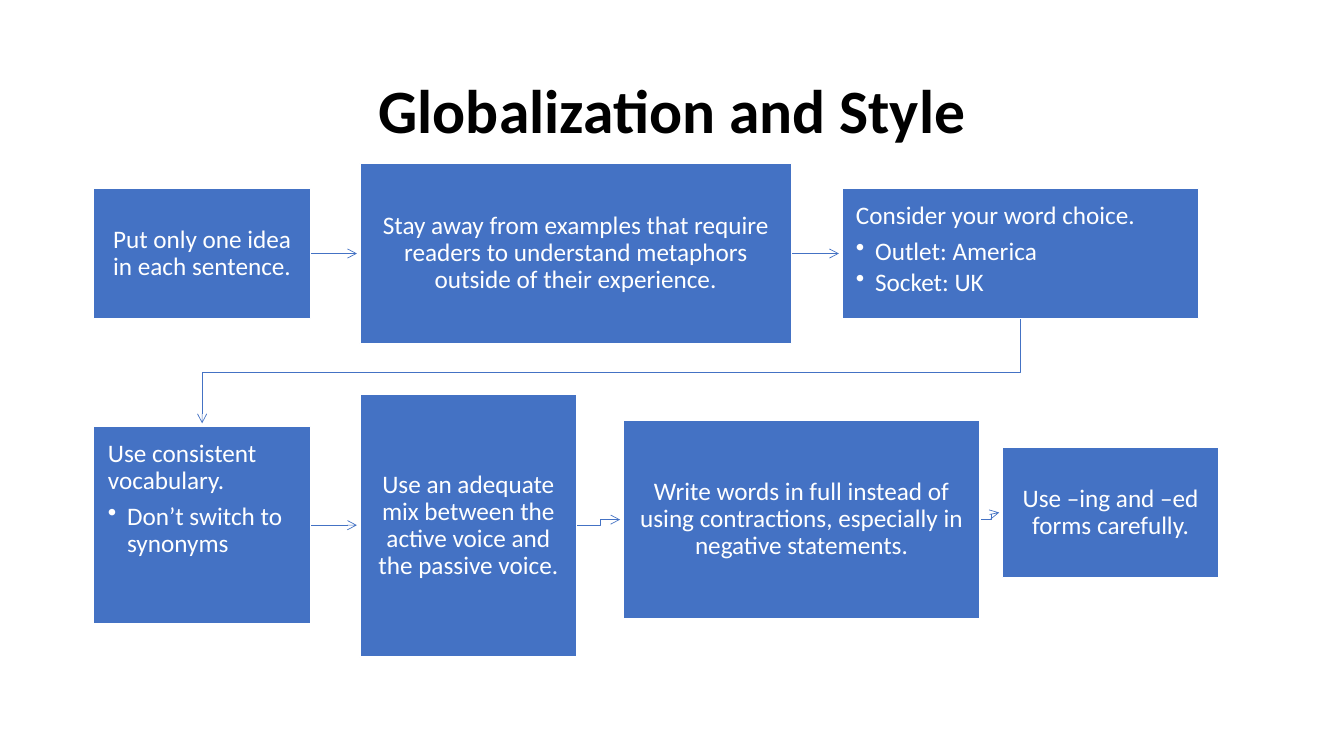
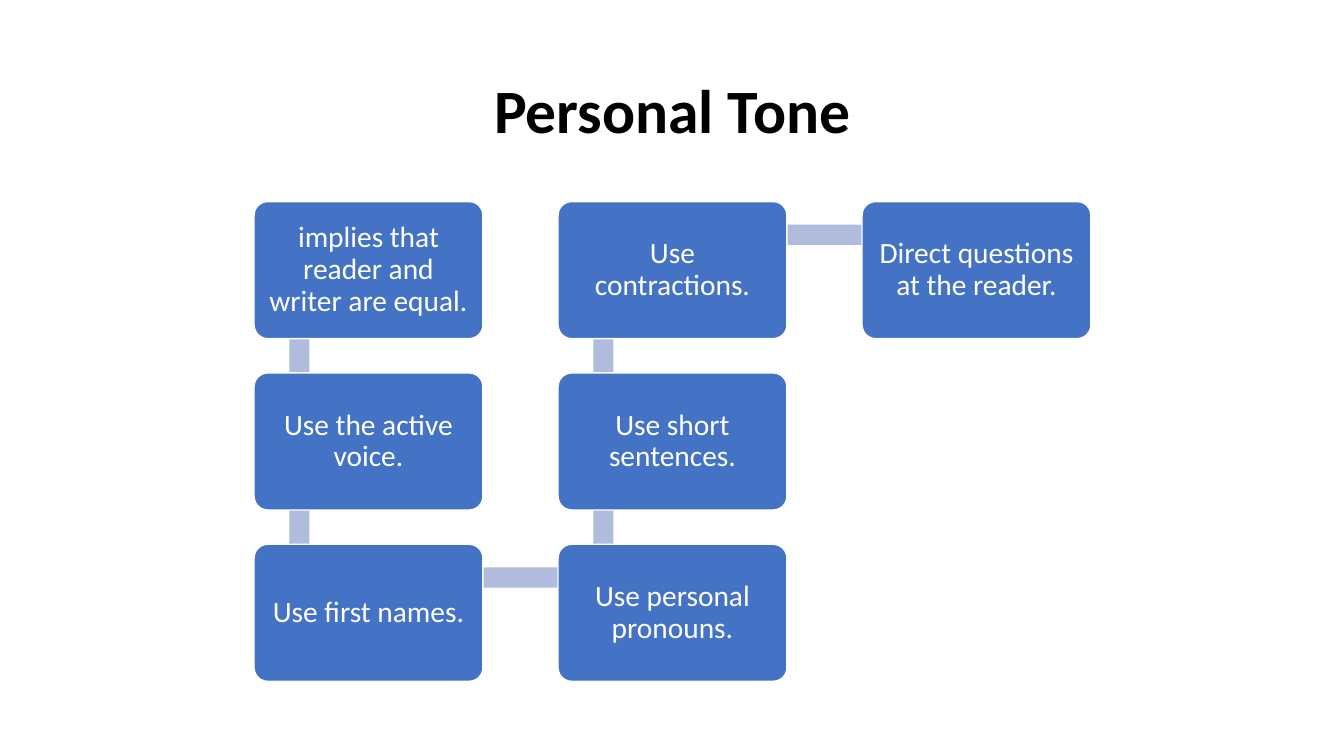
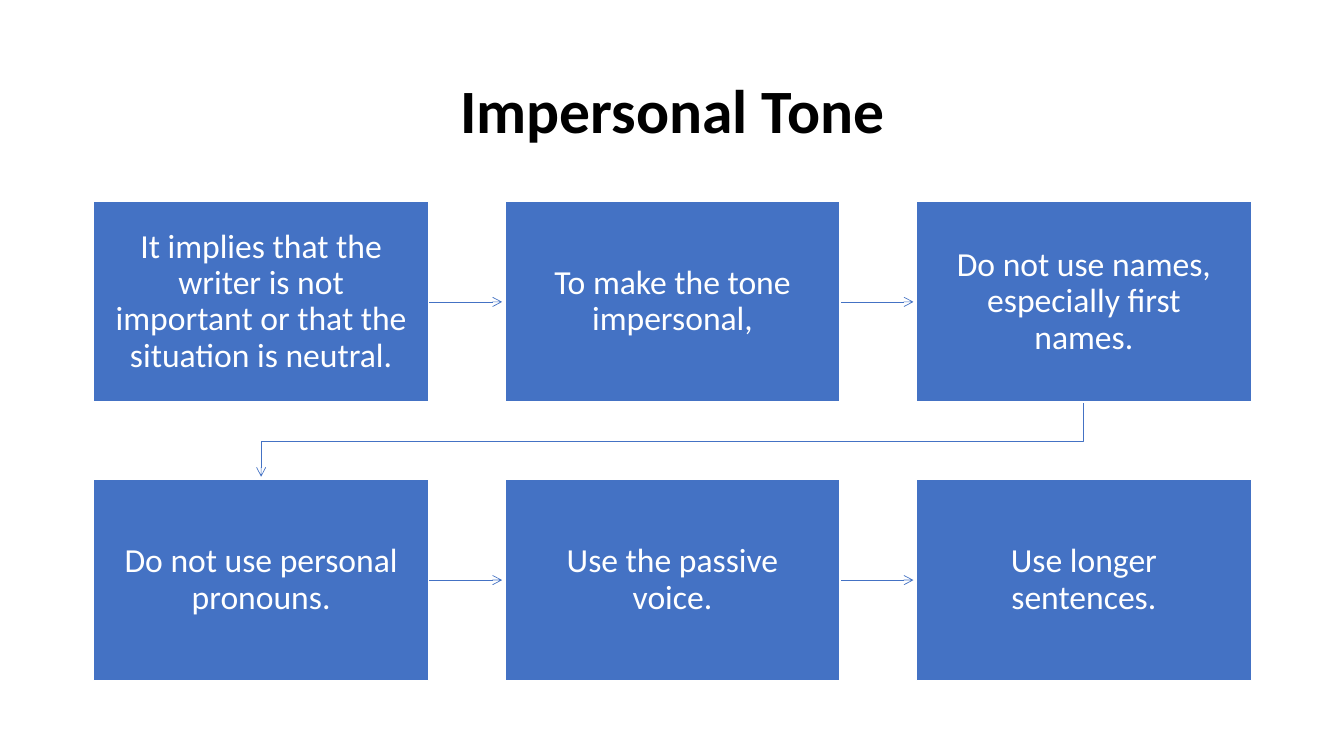
from collections import namedtuple
from itertools import pairwise

from lxml import etree
from pptx import Presentation
from pptx.dml.color import RGBColor
from pptx.enum.shapes import MSO_CONNECTOR, MSO_SHAPE
from pptx.enum.text import MSO_ANCHOR, PP_ALIGN
from pptx.oxml.ns import qn
from pptx.util import Inches, Pt

RECT, ROUNDED = MSO_SHAPE.RECTANGLE, MSO_SHAPE.ROUNDED_RECTANGLE
STRAIGHT = MSO_CONNECTOR.STRAIGHT
TOP, MIDDLE = MSO_ANCHOR.TOP, MSO_ANCHOR.MIDDLE
LEFT, CENTER = PP_ALIGN.LEFT, PP_ALIGN.CENTER

FONT = "Calibri"
BLUE, PALE, WHITE, BLACK = "4472C4", "B0BCDE", "FFFFFF", "000000"
ARROW_GAP = 0.03

Box = namedtuple("Box", "x y w h")


def rgb(value):
    return RGBColor.from_string(value)


def lengths(*values):
    return [Inches(v) for v in values]


def style_paragraph(p, size, color, align, bold=False, after=0):
    p.alignment = align
    p.line_spacing = 0.9
    p.space_after = Pt(after)
    for r in p.runs:
        r.font.name = FONT
        r.font.size = Pt(size)
        r.font.bold = bold
        r.font.color.rgb = rgb(color)


def add_bullet(p):
    pPr = p._p.get_or_add_pPr()
    pPr.set("marL", str(Inches(0.19)))
    pPr.set("indent", str(-Inches(0.19)))
    etree.SubElement(pPr, qn("a:buChar")).set("char", "•")


def add_block(s, kind, box, fill):
    sp = s.shapes.add_shape(kind, *lengths(*box))
    sp.shadow.inherit = False
    sp.fill.solid()
    sp.fill.fore_color.rgb = rgb(fill)
    sp.line.fill.background()
    return sp


def add_card(s, box, lines, size, inset, kind=RECT):
    """First line is the statement; further lines are bullets below it."""
    sp = add_block(s, kind, box, BLUE)
    if kind == ROUNDED:
        sp.adjustments[0] = 0.1
    sp.line.color.rgb = rgb(WHITE)
    sp.line.width = Pt(1)
    tf = sp.text_frame
    tf.word_wrap = True
    tf.margin_left = tf.margin_right = Inches(inset)
    tf.margin_top = tf.margin_bottom = Inches(inset)
    has_bullets = len(lines) > 1
    tf.vertical_anchor = TOP if has_bullets else MIDDLE
    tf.text = "\n".join(lines)
    for i, p in enumerate(tf.paragraphs):
        style_paragraph(p, size, WHITE, LEFT if has_bullets else CENTER,
                        after=size * (0.15 if i else 0.35))
        if i:
            add_bullet(p)


def add_arrow(s, points):
    points = [lengths(*pt) for pt in points]
    if len(points) == 2:
        line = s.shapes.add_connector(STRAIGHT, *points[0], *points[1])
    else:
        builder = s.shapes.build_freeform(*points[0])
        builder.add_line_segments(points[1:], close=False)
        line = builder.convert_to_shape()
        line.fill.background()
    line.line.color.rgb = rgb(BLUE)
    line.line.width = Pt(0.5)
    spPr = line._element.spPr
    etree.SubElement(spPr.find(qn("a:ln")), qn("a:tailEnd")).set("type", "arrow")
    etree.SubElement(spPr, qn("a:effectLst"))


def link_boxes(s, a, b):
    """Arrow to the next box on the right, or down to the start of a new row."""
    if b.x > a.x:
        x0, x1 = a.x + a.w, b.x - ARROW_GAP
        y0, y1 = a.y + a.h / 2, b.y + b.h / 2
        if abs(y1 - y0) < 0.01:
            add_arrow(s, [(x0, y0), (x1, y0)])
        else:
            mid = (x0 + b.x) / 2
            add_arrow(s, [(x0, y0), (mid, y0), (mid, y1), (x1, y1)])
    else:
        x0, x1 = a.x + a.w / 2, b.x + b.w / 2
        y0, y1 = a.y + a.h, b.y - ARROW_GAP
        mid = (y0 + b.y) / 2
        add_arrow(s, [(x0, y0), (x0, mid), (x1, mid), (x1, y1)])


def add_titled_slide(prs, title):
    s = prs.slides.add_slide(prs.slide_layouts[6])
    tf = s.shapes.add_textbox(*lengths(0.92, 0.4, 11.5, 1.45)).text_frame
    tf.word_wrap = True
    tf.vertical_anchor = MIDDLE
    tf.text = title
    style_paragraph(tf.paragraphs[0], 44, BLACK, CENTER, bold=True)
    return s


def add_arrow_flow(s, boxes, texts, size, inset):
    for a, b in pairwise(boxes):
        link_boxes(s, a, b)
    for box, lines in zip(boxes, texts):
        add_card(s, box, lines, size, inset)


def add_column_snake(s, area, texts, rows=3):
    """Cards run down one column and up the next, joined by bars behind them."""
    card_w, card_h, pitch_x, pitch_y, bar = 2.27, 1.36, 3.015, 1.7, 0.2
    boxes = []
    for i in range(len(texts)):
        col, row = divmod(i, rows)
        if col % 2:
            row = rows - 1 - row
        boxes.append(Box(area.x + col * pitch_x, area.y + row * pitch_y,
                         card_w, card_h))
    for a, b in pairwise(boxes):
        if a.x == b.x:
            link = Box(a.x + 0.35, min(a.y, b.y) + 0.33, bar, pitch_y)
        else:
            link = Box(a.x + 0.46, a.y + 0.23, pitch_x, bar)
        add_block(s, RECT, link, PALE)
    for box, text in zip(boxes, texts):
        add_card(s, box, [text], 21, 0.09, ROUNDED)


def grid_boxes(area, cols, rows, w, h):
    step_x = (area.w - w) / (cols - 1)
    step_y = (area.h - h) / (rows - 1)
    return [Box(area.x + c * step_x, area.y + r * step_y, w, h)
            for r in range(rows) for c in range(cols)]


prs = Presentation()
prs.slide_width, prs.slide_height = lengths(13.33, 7.5)

# Globalization: boxes sized to their text
s = add_titled_slide(prs, "Globalization and Style")
style_cards = [
    (Box(0.93, 1.87, 2.15, 1.29), ["Put only one idea in each sentence."]),
    (Box(3.57, 1.62, 4.28, 1.79),
     ["Stay away from examples that require readers to understand "
      "metaphors outside of their experience."]),
    (Box(8.35, 1.87, 3.54, 1.29),
     ["Consider your word choice.", "Outlet: America", "Socket: UK"]),
    (Box(0.93, 4.23, 2.15, 1.96),
     ["Use consistent vocabulary.", "Don’t switch to synonyms"]),
    (Box(3.57, 3.91, 2.15, 2.61),
     ["Use an adequate mix between the active voice and the passive voice."]),
    (Box(6.18, 4.17, 3.54, 1.97),
     ["Write words in full instead of using contractions, especially in "
      "negative statements."]),
    (Box(9.94, 4.44, 2.15, 1.29), ["Use –ing and –ed forms carefully."]),
]
add_arrow_flow(s, *zip(*style_cards), size=18, inset=0.14)

# Personal tone: snake of rounded cards
s = add_titled_slide(prs, "Personal Tone")
add_column_snake(s, Box(2.52, 2, 8.3, 4.76), [
    "implies that reader and writer are equal.",
    "Use the active voice.",
    "Use first names.",
    "Use personal pronouns.",
    "Use short sentences.",
    "Use contractions.",
    "Direct questions at the reader.",
])

# Impersonal tone: even grid
s = add_titled_slide(prs, "Impersonal Tone")
impersonal = [
    "It implies that the writer is not important or that the situation is neutral.",
    "To make the tone impersonal,",
    "Do not use names, especially first names.",
    "Do not use personal pronouns.",
    "Use the passive voice.",
    "Use longer sentences.",
]
add_arrow_flow(s, grid_boxes(Box(0.93, 2, 11.48, 4.75), 3, 2, 3.32, 1.99),
               [[text] for text in impersonal], size=24, inset=0.19)

prs.save("out.pptx")
